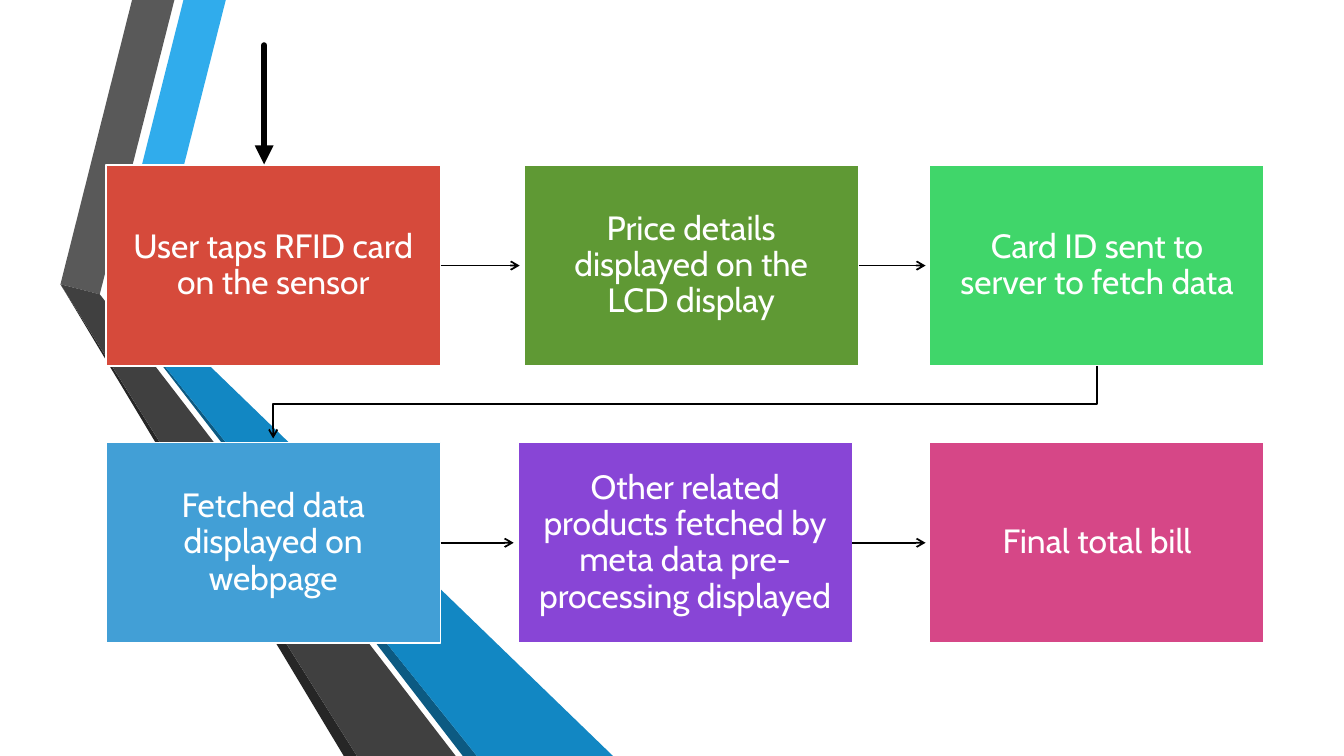
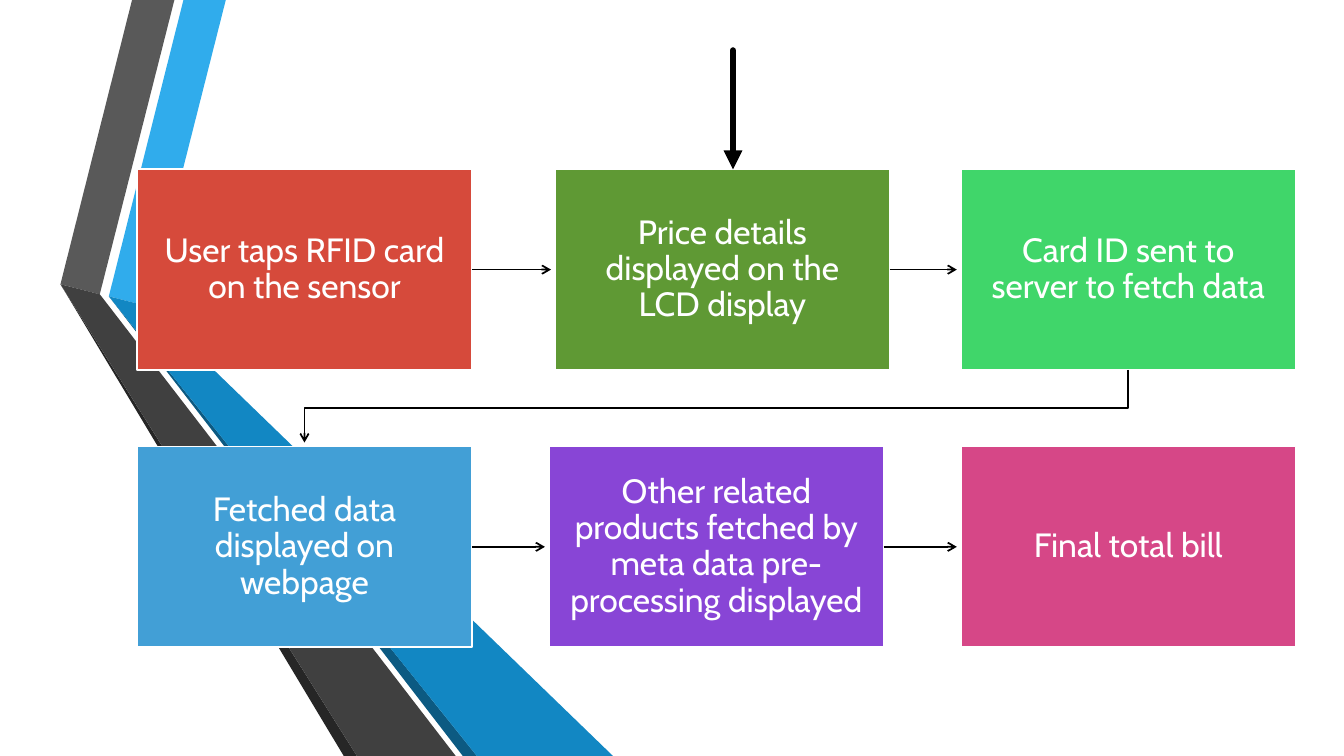
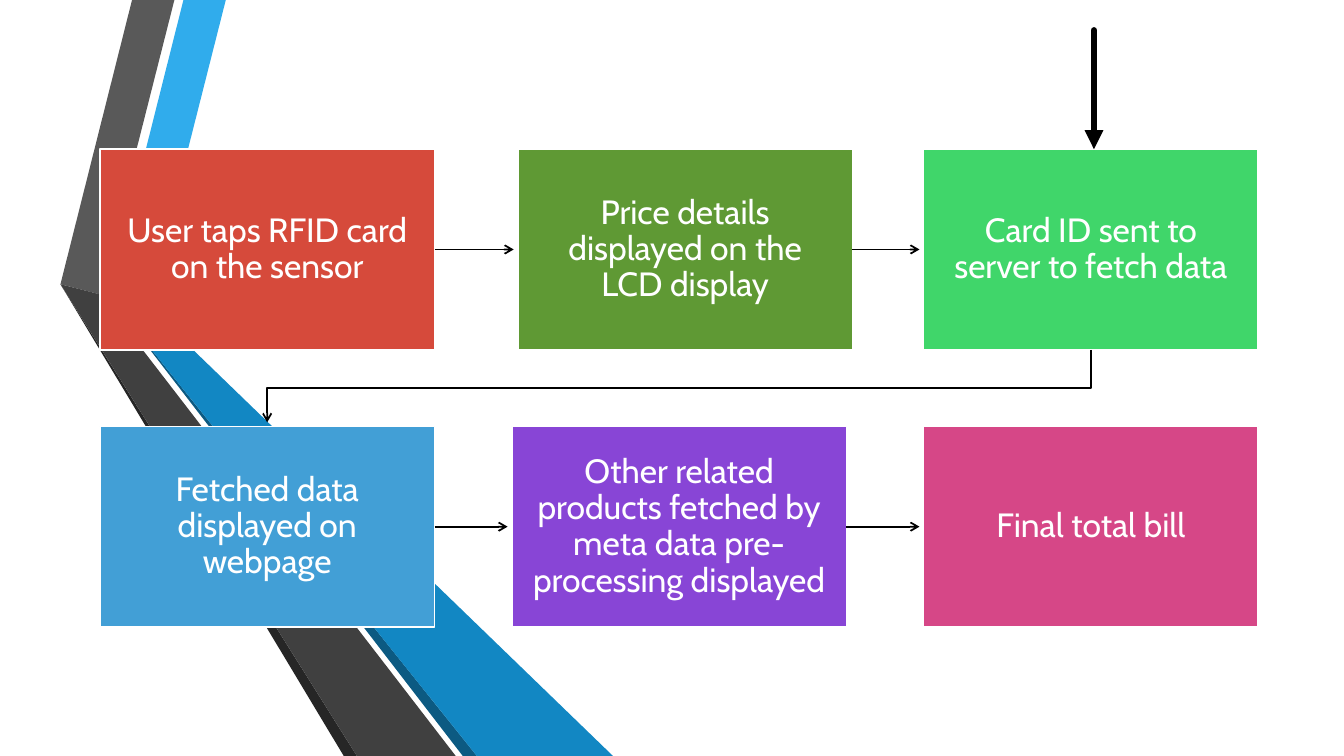
from lxml import etree
from pptx import Presentation
from pptx.dml.color import RGBColor
from pptx.enum import shapes, text
from pptx.oxml import ns
from pptx.util import Inches, Pt

WHITE = RGBColor(0xFF, 0xFF, 0xFF)
BLACK = RGBColor(0x00, 0x00, 0x00)
SKY = RGBColor(0x30, 0xAC, 0xEC)
GREY = RGBColor(0x59, 0x59, 0x59)
CHARCOAL = RGBColor(0x26, 0x26, 0x26)
NAVY = RGBColor(0x0C, 0x5A, 0x82)
BLUE = RGBColor(0x12, 0x87, 0xC3)
SLATE = RGBColor(0x40, 0x40, 0x40)
RED = RGBColor(0xD6, 0x4A, 0x3B)
OLIVE = RGBColor(0x5F, 0x99, 0x34)
GREEN = RGBColor(0x40, 0xD6, 0x6A)
AZURE = RGBColor(0x42, 0x9F, 0xD6)
PURPLE = RGBColor(0x88, 0x45, 0xD6)
PINK = RGBColor(0xD6, 0x47, 0x87)

FONT = "Cabin"
BOX_W, BOX_H = 3.32, 1.99
SPAN, ROW_STEP = 8.17, 2.75
TIP_GAP = 0.04

RIBBONS = [
    (SKY, [(1.08, 2.94), (1.47, 3.04), (2.24, 0), (1.82, 0)]),
    (GREY, [(0.99, 2.92), (1.73, 0), (1.31, 0), (0.6, 2.82)]),
    (CHARCOAL, [(0.6, 2.82), (3.41, 7.5), (3.54, 7.5)]),
    (NAVY, [(4.73, 7.5), (1.08, 2.94), (4.59, 7.5)]),
    (BLUE, [(1.08, 2.94), (4.73, 7.5), (6.08, 7.5), (1.47, 3.04)]),
    (SLATE, [(4.52, 7.5), (1.06, 3.01), (0.99, 2.92), (0.6, 2.82), (3.54, 7.5)]),
]

STEPS = [
    ("User taps RFID card on the sensor", RED),
    ("Price details displayed on the LCD display", OLIVE),
    ("Card ID sent to server to fetch data", GREEN),
    ("Fetched data displayed on webpage", AZURE),
    ("Other related products fetched by meta data pre-processing displayed", PURPLE),
    ("Final total bill", PINK),
]

SLIDES = [
    (1.05, 1.64, 2.62, 0.45),
    (1.36, 1.68, 7.27, 0.5),
    (0.99, 1.48, 10.85, 0.3),
]


def add_outline(s, points, close):
    points = [(Inches(x), Inches(y)) for x, y in points]
    builder = s.shapes.build_freeform(*points[0])
    builder.add_line_segments(points[1:], close=close)
    sp = builder.convert_to_shape()
    sp.shadow.inherit = False
    return sp


def style_arrow(sp, width, tip, cap="flat"):
    sp.line.color.rgb = BLACK
    sp.line.width = Pt(width)
    spPr = sp.element.spPr
    ln = spPr.get_or_add_ln()
    ln.set("cap", cap)
    etree.SubElement(ln, ns.qn("a:tailEnd"), type=tip)
    if spPr.find(ns.qn("a:effectLst")) is None:
        etree.SubElement(spPr, ns.qn("a:effectLst"))


prs = Presentation()
prs.slide_width = Inches(13.33)
prs.slide_height = Inches(7.5)
layout = prs.slide_layouts[6]
for ph in list(layout.placeholders):
    layout.shapes.element.remove(ph.element)
slides = [prs.slides.add_slide(layout) for _ in SLIDES]

for color, points in RIBBONS:
    sp = add_outline(slides[0], points, True)
    sp.fill.solid()
    sp.fill.fore_color.rgb = color
    sp.line.fill.background()
    layout.shapes.element.append(sp.element)

for s, (left, top, marker_x, marker_y) in zip(slides, SLIDES):
    boxes = []
    lefts = []
    for i, (label, color) in enumerate(STEPS):
        row, col = divmod(i, 3)
        x = left + col * SPAN / 2 + (0.06 if i == 1 else 0)
        y = top + row * ROW_STEP
        sp = s.shapes.add_shape(shapes.MSO_SHAPE.RECTANGLE, Inches(x), Inches(y),
                                Inches(BOX_W), Inches(BOX_H))
        sp.shadow.inherit = False
        sp.fill.solid()
        sp.fill.fore_color.rgb = color
        sp.line.color.rgb = WHITE
        sp.line.width = Pt(1.25)
        tf = sp.text_frame
        tf.word_wrap = True
        tf.vertical_anchor = text.MSO_ANCHOR.MIDDLE
        tf.margin_left = tf.margin_right = Inches(0.19)
        tf.margin_top = tf.margin_bottom = Inches(0.19)
        p = tf.paragraphs[0]
        p.alignment = text.PP_ALIGN.CENTER
        p.line_spacing = 0.9
        r = p.add_run()
        r.text = label
        r.font.name = FONT
        r.font.size = Pt(24)
        r.font.color.rgb = WHITE
        boxes.append(sp)
        lefts.append(x)

    for i in (0, 1, 3, 4):
        y = Inches(top + i // 3 * ROW_STEP + BOX_H / 2)
        arrow = s.shapes.add_connector(shapes.MSO_CONNECTOR.STRAIGHT,
                                       Inches(lefts[i] + BOX_W), y,
                                       Inches(lefts[i + 1] - TIP_GAP), y)
        arrow.begin_connect(boxes[i], 3)
        style_arrow(arrow, 1.25, "arrow")

    start_x = lefts[2] + BOX_W / 2
    end_x = lefts[3] + BOX_W / 2
    next_top = top + ROW_STEP
    turn_y = next_top - 0.38
    bend = add_outline(s, [(start_x, top + BOX_H), (start_x, turn_y),
                           (end_x, turn_y), (end_x, next_top - TIP_GAP)], False)
    bend.fill.background()
    style_arrow(bend, 1.25, "arrow")

    marker = s.shapes.add_connector(shapes.MSO_CONNECTOR.STRAIGHT,
                                    Inches(marker_x), Inches(marker_y),
                                    Inches(marker_x), Inches(marker_y + 1.18))
    style_arrow(marker, 4.5, "triangle", "rnd")

prs.save("out.pptx")
